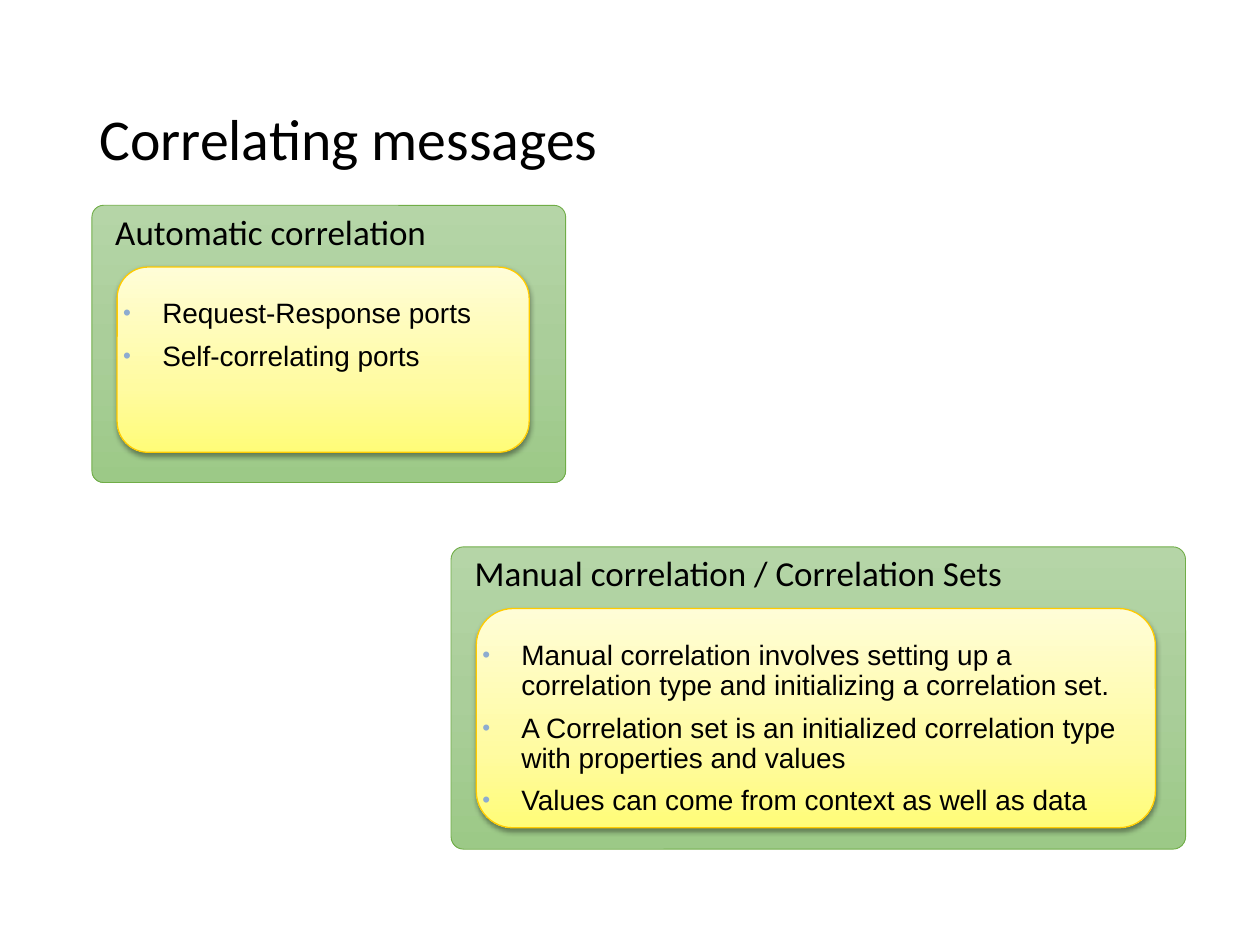
from copy import deepcopy
from typing import NamedTuple

from lxml.etree import SubElement
from pptx import Presentation
from pptx.dml.color import RGBColor
from pptx.enum.shapes import MSO_SHAPE as Shape
from pptx.enum.text import MSO_ANCHOR as Anchor, PP_ALIGN as Align
from pptx.oxml.ns import qn
from pptx.util import Inches, Pt

COLOURS = {
    "text": "000000",
    "bullet": "8DACD0",
    "panel_line": "70AD47",
    "card_line": "FFCB00",
    "shadow": "000000",
}
PANEL_STOPS = [(0, "B5D5A7"), (50, "AACE9A"), (100, "9CC987")]
CARD_STOPS = [(0, "FFFDD7"), (65, "FFFBA1"), (100, "FFFC78")]


class Panel(NamedTuple):
    left: float
    top: float
    width: float
    height: float
    card_width: float
    card_height: float
    list_width: float
    list_height: float
    heading: str
    bullets: list[str]


PANELS = [
    Panel(0.73, 1.63, 3.76, 2.2, 3.27, 1.47, 3, 0.69, "Automatic correlation",
          ["Request-Response ports", "Self-correlating ports"]),
    Panel(3.58, 4.34, 5.83, 2.4, 5.39, 1.74, 5.35, 1.53,
          "Manual correlation / Correlation Sets",
          ["Manual correlation involves setting up a \v"
           "correlation type and initializing a correlation set.",
           "A Correlation set is an initialized correlation type \v"
           "with properties and values",
           "Values can come from context as well as data"]),
]


def add_element(parent, tag: str, **attributes):
    """Append a DrawingML element with the given attributes."""
    return SubElement(parent, qn(f"a:{tag}"), {k: str(v) for k, v in attributes.items()})


def write(para, text: str, *, size: float, font: str = "Calibri", indent: float = 0,
          hanging: float = 0, before: float = 0, bullet: bool = False) -> None:
    """Fill a paragraph with formatted text."""
    para.text = text
    para.alignment = Align.LEFT
    para.line_spacing = 0.9
    para.space_before = Pt(before)
    props = para._p.get_or_add_pPr()
    props.set("marL", str(Inches(indent)))
    props.set("indent", str(Inches(-hanging)))
    if bullet:
        add_element(add_element(props, "buClr"), "srgbClr", val=COLOURS["bullet"])
        add_element(props, "buSzPct", val=80000)
        add_element(props, "buFont", typeface="Arial")
        add_element(props, "buChar", char="•")
    for span in para.runs:
        span.font.size = Pt(size)
        span.font.name = font
        span.font.color.rgb = RGBColor.from_string(COLOURS["text"])
    for line_break in para._p.findall(qn("a:br")):
        line_break.append(deepcopy(para.runs[0]._r.rPr))


def add_text_box(page, left: float, top: float, width: float, height: float):
    """Add a wrapping text box and return its text frame."""
    box = page.shapes.add_textbox(Inches(left), Inches(top), Inches(width), Inches(height))
    box.text_frame.word_wrap = True
    return box.text_frame


def add_rounded(page, left: float, top: float, width: float, height: float, *,
                radius: float, stops: list, line: str, line_width: float):
    """Add a rounded rectangle with a vertical gradient."""
    box = page.shapes.add_shape(Shape.ROUNDED_RECTANGLE, Inches(left), Inches(top),
                                Inches(width), Inches(height))
    box.shadow.inherit = False
    box.adjustments[0] = radius
    box.fill.gradient()
    box.fill.gradient_angle = 270
    stop_list = box._element.spPr.find(qn("a:gradFill")).find(qn("a:gsLst"))
    for old_stop in list(stop_list):
        stop_list.remove(old_stop)
    for position, colour in stops:
        add_element(add_element(stop_list, "gs", pos=position * 1000), "srgbClr", val=colour)
    box.line.color.rgb = RGBColor.from_string(COLOURS[line])
    box.line.width = Pt(line_width)
    return box


def add_shadow(box) -> None:
    """Give a shape a soft shadow below it."""
    effects = box._element.spPr.find(qn("a:effectLst"))
    shadow = add_element(effects, "outerShdw", blurRad=Pt(3.1), dist=Pt(1.6),
                         dir=5400000, rotWithShape=0)
    colour = add_element(shadow, "srgbClr", val=COLOURS["shadow"])
    add_element(colour, "alpha", val=38000)


def add_panel(page, panel: Panel) -> None:
    """Draw a headed panel with a card and its bullet list."""
    frame = add_rounded(page, panel.left, panel.top, panel.width, panel.height, radius=0.042,
                        stops=PANEL_STOPS, line="panel_line", line_width=0.5).text_frame
    frame.word_wrap = True
    frame.vertical_anchor = Anchor.TOP
    write(frame.paragraphs[0], panel.heading, size=20, indent=0.06)
    card = add_rounded(page, panel.left + 0.2, panel.top + 0.49, panel.card_width,
                       panel.card_height, radius=0.167, stops=CARD_STOPS,
                       line="card_line", line_width=0.75)
    add_shadow(card)
    frame = add_text_box(page, panel.left + 0.15, panel.top + 0.7,
                         panel.list_width, panel.list_height)
    for index, text in enumerate(panel.bullets):
        para = frame.add_paragraph() if index else frame.paragraphs[0]
        write(para, text, size=16, font="Arial", indent=0.31, hanging=0.31,
              before=7 if index else 0, bullet=True)


def main() -> None:
    """Build the slide and save it."""
    deck = Presentation()
    deck.slide_width, deck.slide_height = Inches(10), Inches(7.5)
    page = deck.slides.add_slide(deck.slide_layouts[6])
    title = add_text_box(page, 0.69, 0.4, 8.62, 1.45)
    title.vertical_anchor = Anchor.MIDDLE
    write(title.paragraphs[0], "Correlating messages", size=33)
    for panel in PANELS:
        add_panel(page, panel)
    deck.save("out.pptx")


if __name__ == "__main__":
    main()
